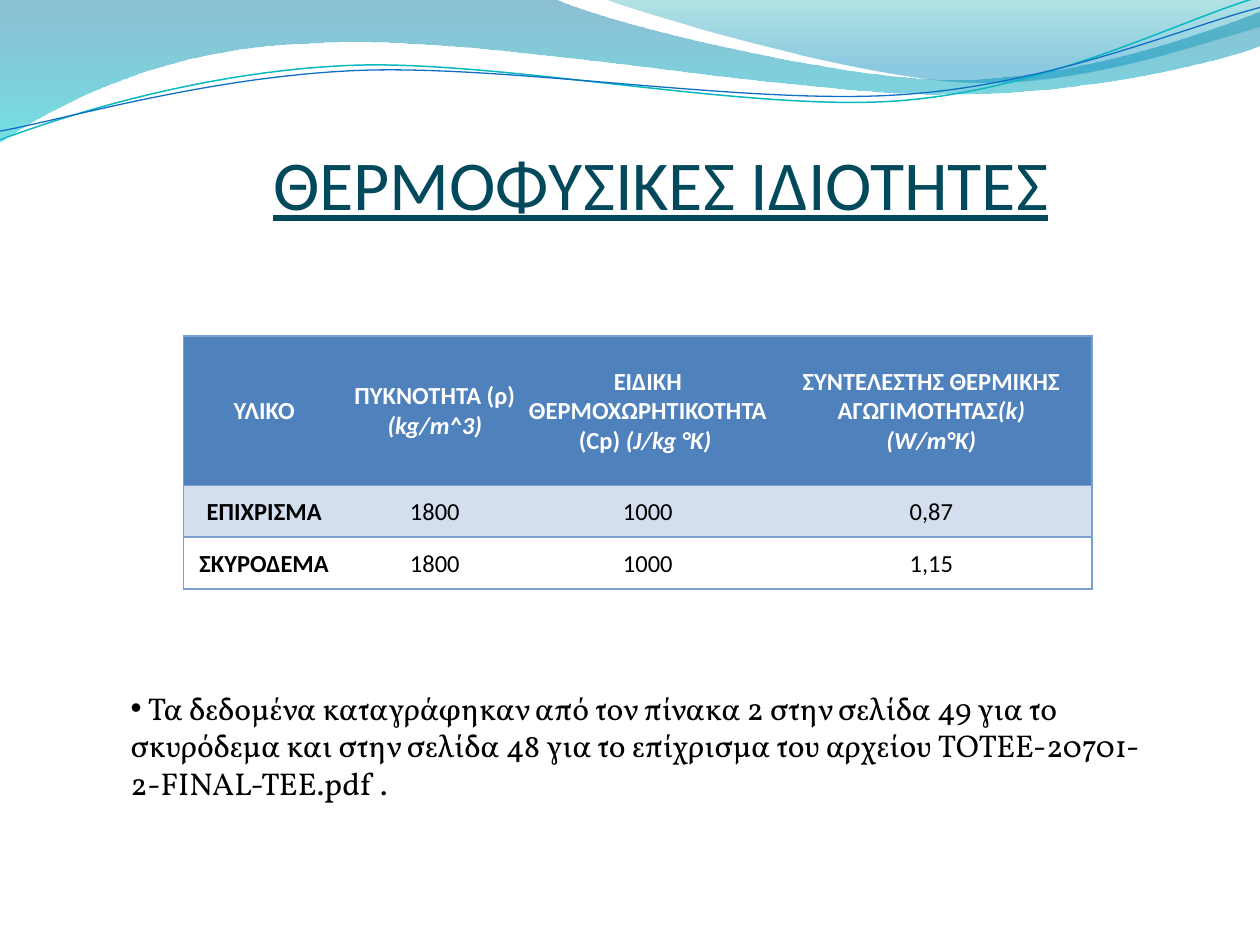
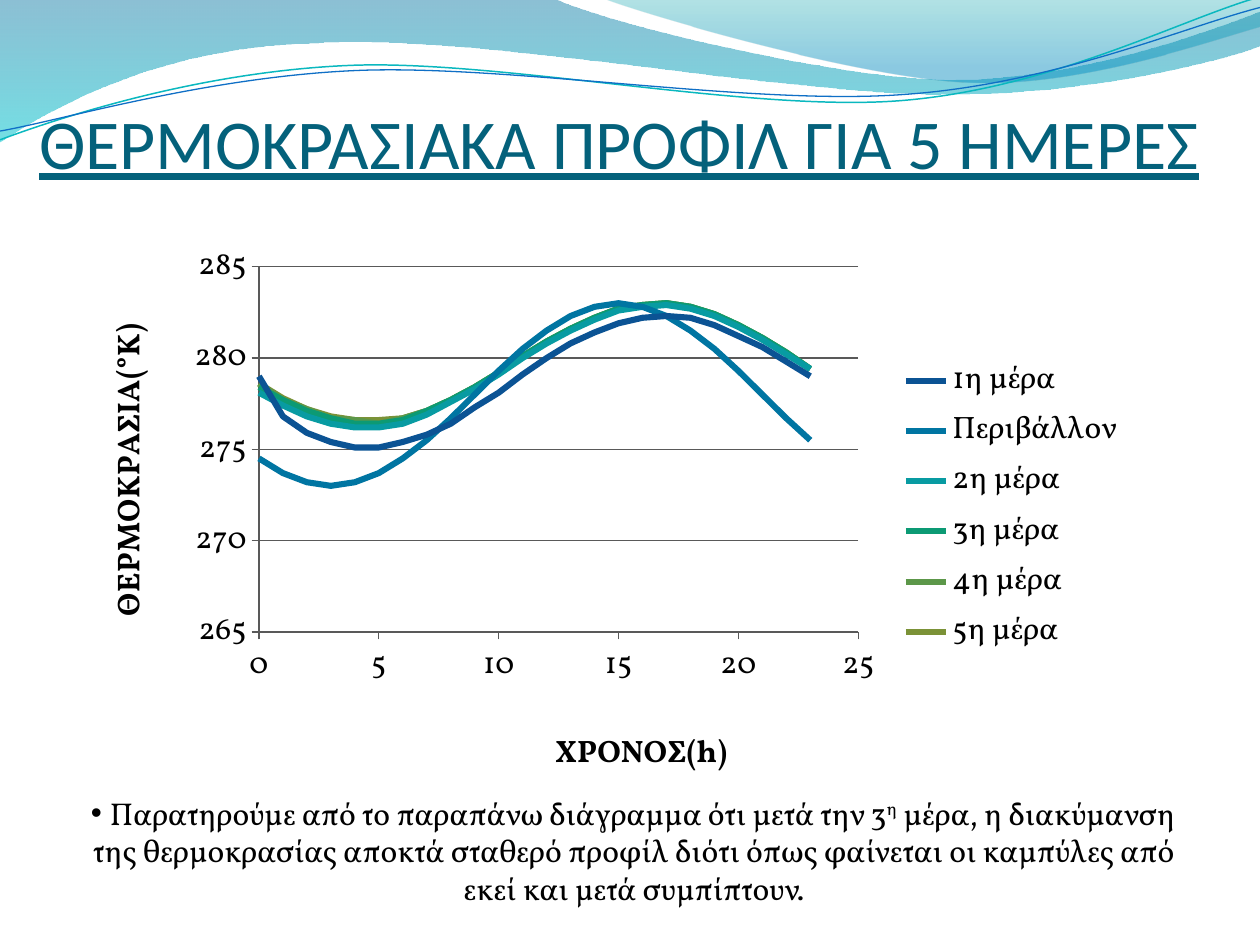
from dataclasses import dataclass
from itertools import zip_longest
from math import cos, pi, radians, sin

from lxml.etree import SubElement
from pptx import Presentation
from pptx.chart.data import XyChartData
from pptx.dml.color import RGBColor
from pptx.enum.chart import XL_CHART_TYPE as Chart, XL_LEGEND_POSITION as Legend
from pptx.enum.chart import XL_MARKER_STYLE as Marker, XL_TICK_MARK as Tick
from pptx.enum.text import MSO_ANCHOR as Anchor, PP_ALIGN as Align
from pptx.oxml import parse_xml
from pptx.oxml.ns import nsdecls, qn
from pptx.util import Pt

BLACK = RGBColor(0x00, 0x00, 0x00)
WHITE = RGBColor(0xFF, 0xFF, 0xFF)
DARK_TEAL = RGBColor(0x03, 0x49, 0x5C)
TEAL = RGBColor(0x04, 0x61, 0x7B)
HEADER_BLUE = RGBColor(0x4F, 0x81, 0xBD)
BAND_BLUE = RGBColor(0xD3, 0xDF, 0xEE)
BORDER_BLUE = RGBColor(0x7B, 0xA0, 0xCD)
AXIS_GRAY = RGBColor(0x59, 0x59, 0x59)

TITLE_FONT = {"name": "Calibri", "size": Pt(40), "underline": True}
NOTE_FONT = {"name": "Vollkorn", "size": Pt(18)}
CELL_FONT = {"name": "Calibri", "size": Pt(14)}
NO_STYLE = "{2D5ABB26-0587-4C30-8999-92F81FD0307C}"

Segment = tuple[float, ...]


@dataclass
class Stop:
    position: float
    color: RGBColor
    alpha: int


@dataclass
class Wave:
    start: Segment
    segments: list[Segment]
    stops: tuple[Stop, ...] = ()
    line: RGBColor | None = None
    weight: float = 0
    tilt: float = 0


@dataclass
class Box:
    left: float
    top: float
    width: float = 0
    height: float = 0

    def emu(self) -> list[Pt]:
        return [Pt(v) for v in (self.left, self.top, self.width, self.height)]


@dataclass
class Run:
    text: str
    italic: bool = False
    raised: bool = False


@dataclass
class Curve:
    name: str
    color: RGBColor
    hours: list[int]
    values: list[float]


WAVES = [
    Wave((0, 0), [
        (316.8, -0.7),
        (342.7, 12.2, 478.1, 45.4, 545.8, 45.4),
        (614.2, 45.4, 689.8, 18.7, 720, 6.5),
        (720.7, 25.9),
        (707.8, 31.7, 626.4, 54.7, 537.1, 54),
        (447.8, 54, 275, 20.2, 185, 24.5),
        (92.9, 25.9, 33.1, 59.8, -0.7, 81.4),
    ], (Stop(0, RGBColor(0x00, 0x74, 0xA1), 45), Stop(1, RGBColor(0x00, 0xC6, 0xCF), 55))),
    Wave((344.9, -0.7), [
        (366.5, 7.9, 491, 44.6, 553.7, 46.8),
        (616.3, 49.7, 691.9, 23, 720, 15.1),
        (720, 0),
    ], (Stop(0, RGBColor(0x00, 0xA1, 0xA9), 30), Stop(0.8, RGBColor(0x00, 0x8B, 0xBF), 45))),
    Wave((0, 79.9), [
        (34.6, 67, 113.8, 41, 199.4, 37.4),
        (284.4, 33.8, 427, 64.1, 513.4, 57.6),
        (599.8, 51.1, 675.4, 10.8, 718.6, -1.4),
    ], line=RGBColor(0x0A, 0xB8, 0xBF), weight=0.85, tilt=-2.7),
    Wave((0, 74.9), [
        (33.8, 69.1, 118.1, 43.9, 203.8, 40.3),
        (290.2, 36.7, 429.8, 60.5, 516.2, 54),
        (601.9, 48.2, 677.5, 15.1, 720, 4.3),
    ], line=RGBColor(0x0F, 0x6F, 0xC6), weight=0.75, tilt=-2.7),
]
TILT_CENTER = (359.5, 41.5)

COLUMN_WIDTHS = [51, 92, 103, 140.5, 183.5, 60]
ROW_HEIGHTS = [30, 85.5, 29.5, 29.5, 28]
PROPERTIES = [
    [
        [[Run("ΥΛΙΚΟ")]],
        [[Run("ΠΥΚΝΟΤΗΤΑ (ρ)")], [Run("(kg/m^3)", italic=True)]],
        [[Run("ΕΙΔΙΚΗ ΘΕΡΜΟΧΩΡΗΤΙΚΟΤΗΤΑ(Cp) "), Run("(J/kg °K) ", italic=True)]],
        [[Run("ΣΥΝΤΕΛΕΣΤΗΣ ΘΕΡΜΙKΗΣ ΑΓΩΓΙΜΟΤΗΤΑΣ"), Run("(k)", italic=True)],
         [Run("(W/m°K)", italic=True)]],
    ],
    [[[Run(t)]] for t in ("ΕΠΙΧΡΙΣΜΑ", "1800", "1000", "0,87")],
    [[[Run(t)]] for t in ("ΣΚΥΡΟΔΕΜΑ", "1800", "1000", "1,15")],
]
ROW_FILLS = [HEADER_BLUE, BAND_BLUE, None]

HOURS = list(range(24))
FIRST_DAY = [279.0, 276.8, 275.9, 275.4, 275.1, 275.1, 275.4, 275.8, 276.4, 277.3, 278.1, 279.1,
             280.0, 280.8, 281.4, 281.9, 282.2, 282.3, 282.2, 281.8, 281.2, 280.6, 279.8, 279.0]
SECOND_DAY = [278.1, 277.4, 276.8, 276.4, 276.2, 276.2, 276.4, 276.9, 277.6, 278.3, 279.1, 280.0,
              280.8, 281.5, 282.1, 282.6, 282.8, 282.9, 282.7, 282.3, 281.7, 281.0, 280.2, 279.4]
SETTLED = [277.1, 277.7, 278.4, 279.2, 280.1, 280.9, 281.6, 282.2, 282.7,
           282.9, 283.0, 282.8, 282.4, 281.8, 281.1, 280.3, 279.4]
CURVES = [
    Curve("1η μέρα", RGBColor(0x0B, 0x53, 0x94), HOURS, FIRST_DAY + SECOND_DAY),
    Curve("Περιβάλλον", RGBColor(0x00, 0x75, 0xA2), HOURS,
          [round(278 - 5 * cos(pi / 12 * (h - 3)), 1) for h in HOURS]),
    Curve("2η μέρα", RGBColor(0x08, 0x9B, 0xA2), HOURS, SECOND_DAY),
    Curve("3η μέρα", RGBColor(0x0C, 0x9A, 0x74), HOURS,
          [278.4, 277.7, 277.1, 276.7, 276.4, 276.4, 276.6] + SETTLED),
    Curve("4η μέρα", RGBColor(0x5C, 0x97, 0x49), HOURS,
          [278.6, 277.7, 277.2, 276.7, 276.6, 276.4, 276.7] + SETTLED),
    Curve("5η μέρα", RGBColor(0x7B, 0x92, 0x37), HOURS + [0],
          [278.6, 277.8, 277.2, 276.8, 276.6, 276.6, 276.7] + SETTLED),
]


def apply(target, values: dict) -> None:
    for name, value in values.items():
        setattr(target, name, value)


def turned(segment: Segment, degrees: float) -> list[tuple[Pt, Pt]]:
    a, (cx, cy) = radians(degrees), TILT_CENTER
    offsets = [(x - cx, y - cy) for x, y in zip(segment[::2], segment[1::2])]
    return [(Pt(cx + x * cos(a) - y * sin(a)), Pt(cy + x * sin(a) + y * cos(a))) for x, y in offsets]


def draw_wave(slide, wave: Wave) -> None:
    start = turned(wave.start, -wave.tilt)[0]
    segments = [turned(seg, -wave.tilt) for seg in wave.segments]
    builder = slide.shapes.build_freeform(*start)
    builder.add_line_segments([seg[-1] for seg in segments], close=bool(wave.stops))
    s = builder.convert_to_shape()
    for step, seg in zip(list(s.element.iter(qn("a:lnTo"))), segments):
        if len(seg) == 3:
            step.tag = qn("a:cubicBezTo")
            step.clear()
            for x, y in seg:
                SubElement(step, qn("a:pt"), x=str(x - s.left), y=str(y - s.top))
    s.rotation = wave.tilt
    s.shadow.inherit = False
    if wave.line is not None:
        s.fill.background()
        s.line.color.rgb = wave.line
        s.line.width = Pt(wave.weight)
        return
    s.line.fill.background()
    s.fill.gradient()
    s.fill.gradient_angle = 270
    for target, stop in zip(s.fill.gradient_stops, wave.stops):
        target.position = stop.position
        target.color.rgb = stop.color
    for color, stop in zip(s.element.spPr.iter(qn("a:srgbClr")), wave.stops):
        SubElement(color, qn("a:alpha"), val=str(stop.alpha * 1000))


def write(p, runs: list[Run], font: dict, color: RGBColor, align: Align) -> None:
    p.alignment = align
    for run in runs:
        r = p.add_run()
        r.text = run.text
        apply(r.font, font | {"italic": run.italic})
        r.font.color.rgb = color
        if run.raised:
            r.font._element.set("baseline", "30000")


def add_text(slide, box: Box, runs: list[Run], font: dict, color: RGBColor,
             align: Align = Align.LEFT, bullet: bool = False, frame: dict | None = None) -> None:
    tf = slide.shapes.add_textbox(*box.emu()).text_frame
    apply(tf, {"word_wrap": True} | (frame or {}))
    p = tf.paragraphs[0]
    write(p, runs, font, color, align)
    if bullet:
        pPr = p._p.get_or_add_pPr()
        SubElement(pPr, qn("a:buFont"), typeface="Arial")
        SubElement(pPr, qn("a:buChar"), char="•")


def set_borders(cell, shown: dict[str, bool]) -> None:
    tcPr = cell._tc.get_or_add_tcPr()
    solid = f'<a:solidFill><a:srgbClr val="{BORDER_BLUE}"/></a:solidFill>'
    for i, (side, visible) in enumerate(shown.items()):
        tcPr.insert(i, parse_xml(f'<a:ln{side} {nsdecls("a")} w="12700">'
                                 f'{solid if visible else "<a:noFill/>"}</a:ln{side}>'))


def add_properties_table(slide, left: float, top: float) -> None:
    box = Box(left, top, sum(COLUMN_WIDTHS), sum(ROW_HEIGHTS))
    table = slide.shapes.add_table(len(ROW_HEIGHTS), len(COLUMN_WIDTHS), *box.emu()).table
    apply(table, {"first_row": False, "horz_banding": False})
    table._tbl.tblPr.find(qn("a:tableStyleId")).text = NO_STYLE
    for column, width in zip(table.columns, COLUMN_WIDTHS):
        column.width = Pt(width)
    for i, height in enumerate(ROW_HEIGHTS):
        table.rows[i].height = Pt(height)
        for j in range(len(COLUMN_WIDTHS)):
            cell, row_used, column_used = table.cell(i, j), 1 <= i <= 3, 1 <= j <= 4
            cell.fill.background()
            apply(cell, {"margin_left": Pt(0.7), "margin_right": Pt(0.7), "margin_top": Pt(0.7),
                         "margin_bottom": 0, "vertical_anchor": Anchor.MIDDLE})
            set_borders(cell, {"L": row_used and j in (1, 5), "R": row_used and j in (0, 4),
                               "T": column_used and i > 0, "B": column_used and i < 4})
    for i, (cells, fill) in enumerate(zip(PROPERTIES, ROW_FILLS)):
        for j, paragraphs in enumerate(cells):
            cell = table.cell(i + 1, j + 1)
            if fill is not None:
                cell.fill.solid()
                cell.fill.fore_color.rgb = fill
            font = CELL_FONT | {"bold": i == 0 or j == 0}
            for k, runs in enumerate(paragraphs):
                p = cell.text_frame.paragraphs[0] if k == 0 else cell.text_frame.add_paragraph()
                write(p, runs, font, WHITE if i == 0 else BLACK, Align.CENTER)


def place(part, index: int, values: dict) -> None:
    for layout in part.findall(qn("c:layout")):
        part.remove(layout)
    layout = SubElement(part, qn("c:layout"))
    part.insert(index, layout)
    manual = SubElement(layout, qn("c:manualLayout"))
    for name, value in values.items():
        SubElement(manual, qn(f"c:{name}"), val=str(value))


def edges(inner: Box, outer: Box) -> dict:
    return {"xMode": "edge", "yMode": "edge",
            "x": inner.left / outer.width, "y": inner.top / outer.height}


def trim(values, count: int) -> None:
    cache = values.find(".//" + qn("c:numCache"))
    cache.find(qn("c:ptCount")).set("val", str(count))
    for pt in cache.findall(qn("c:pt"))[count:]:
        cache.remove(pt)


def add_temperature_chart(slide, box: Box) -> None:
    data = XyChartData(number_format="General")
    for curve in CURVES:
        series = data.add_series(curve.name)
        for hour, value in zip_longest(curve.hours, curve.values, fillvalue=0):
            series.add_data_point(hour, value)
    chart = slide.shapes.add_chart(Chart.XY_SCATTER_LINES_NO_MARKERS, *box.emu(), data).chart
    apply(chart, {"has_title": False, "has_legend": True})
    apply(chart.legend, {"position": Legend.RIGHT, "include_in_layout": False})
    apply(chart.font, NOTE_FONT)
    chart.font.color.rgb = BLACK
    chart.plots[0].vary_by_categories = False
    for series, curve in zip(chart.plots[0].series, CURVES):
        trim(series._element.find(qn("c:xVal")), len(curve.hours))
        trim(series._element.find(qn("c:yVal")), len(curve.values))
        series.smooth = False
        series.marker.style = Marker.NONE
        series.format.line.width = Pt(3.5)
        series.format.line.color.rgb = curve.color
    axes = [(chart.category_axis, "ΧΡΟΝΟΣ(h)", 0, 25, Box(260, 284), 0),
            (chart.value_axis, "ΘΕΡΜΟΚΡΑΣΙΑ(°Κ)", 265, 285, Box(3, 51), -90)]
    for axis, title, low, high, spot, angle in axes:
        apply(axis, {"minimum_scale": low, "maximum_scale": high, "major_unit": 5,
                     "has_major_gridlines": angle != 0, "major_tick_mark": Tick.OUTSIDE,
                     "minor_tick_mark": Tick.NONE})
        axis.format.line.color.rgb = AXIS_GRAY
        tf = axis.axis_title.text_frame
        write(tf.paragraphs[0], [Run(title)], NOTE_FONT | {"bold": True}, BLACK, Align.CENTER)
        tf._txBody.bodyPr.set("rot", str(angle * 60000))
        place(axis.axis_title._element, 1, edges(spot, box))
    chart.value_axis.major_gridlines.format.line.color.rgb = AXIS_GRAY
    plot = Box(94, 18.7, 342.5, 212)
    place(chart._chartSpace.find(".//" + qn("c:plotArea")), 0,
          {"layoutTarget": "inner"} | edges(plot, box)
          | {"w": plot.width / box.width, "h": plot.height / box.height})


def add_slide(prs):
    slide = prs.slides.add_slide(prs.slide_layouts[6])
    for wave in WAVES:
        draw_wave(slide, wave)
    return slide


def main() -> None:
    prs = Presentation()
    apply(prs, {"slide_width": Pt(720), "slide_height": Pt(540)})

    slide = add_slide(prs)
    add_text(slide, Box(87.8, 77, 579.6, 55.5), [Run("ΘΕΡΜΟΦΥΣΙΚΕΣ ΙΔΙΟΤΗΤΕΣ")],
             TITLE_FONT, DARK_TEAL, Align.CENTER)
    add_properties_table(slide, 54, 162)
    add_text(slide, Box(67.5, 390, 608, 72.5), [
        Run(" Τα δεδομένα καταγράφηκαν από τον πίνακα 2 στην σελίδα 49 για το σκυρόδεμα και "
            "στην σελίδα 48 για το επίχρισμα του αρχείου ΤΟΤΕΕ-20701-2-FINAL-TEE.pdf ."),
    ], NOTE_FONT, BLACK, bullet=True)

    slide = add_slide(prs)
    add_text(slide, Box(22.3, 15, 697.7, 90), [Run("ΘΕΡΜΟΚΡΑΣΙΑΚΑ ΠΡΟΦΙΛ ΓΙΑ 5 ΗΜΕΡΕΣ")],
             TITLE_FONT, TEAL, frame={"vertical_anchor": Anchor.BOTTOM, "margin_left": 0,
                                      "margin_right": 0, "margin_bottom": 0})
    add_temperature_chart(slide, Box(54, 134, 596, 315.5))
    add_text(slide, Box(44.8, 450, 635, 72.5), [
        Run(" Παρατηρούμε από το παραπάνω διάγραμμα ότι μετά την 3"),
        Run("η", raised=True),
        Run(" μέρα, η διακύμανση της θερμοκρασίας αποκτά σταθερό προφίλ διότι όπως φαίνεται "
            "οι καμπύλες από εκεί και μετά συμπίπτουν."),
    ], NOTE_FONT, BLACK, Align.CENTER, bullet=True)

    prs.save("out.pptx")


if __name__ == "__main__":
    main()
